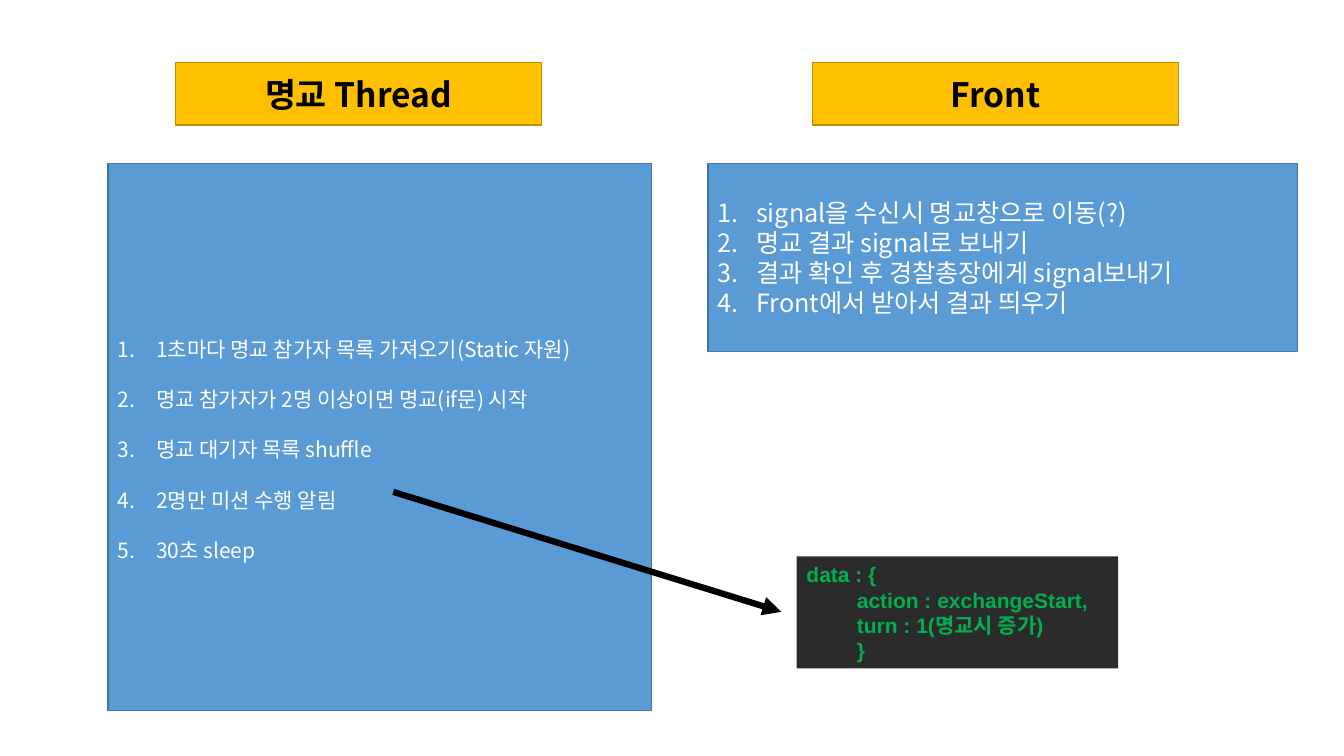
import pptx
import pptx.util
import pptx.dml.color
import pptx.enum.shapes
import pptx.enum.text
import pptx.oxml.ns
import lxml.etree

Inches = pptx.util.Inches
Pt = pptx.util.Pt
ALIGN = pptx.enum.text.PP_ALIGN
FIT = pptx.enum.text.MSO_AUTO_SIZE

HEX = {
    "gold": "FFC000", "gold edge": "BD8E00",
    "blue": "5B9BD5", "blue edge": "43739E",
    "dark": "2B2B2B", "green": "00B050",
    "black": "000000", "white": "FFFFFF",
}
SANS = "Noto Sans CJK KR"
STEPS = [
    "1초마다 명교 참가자 목록 가져오기(Static 자원)",
    "명교 참가자가 2명 이상이면 명교(if문) 시작",
    "명교 대기자 목록 shuffle",
    "2명만 미션 수행 알림",
    "30초 sleep",
]
FRONT = [
    "signal을 수신시 명교창으로 이동(?)",
    "명교 결과 signal로 보내기",
    "결과 확인 후 경찰총장에게 signal보내기",
    "Front에서 받아서 결과 띄우기",
]
CODE = ["data : {", "action : exchangeStart,", "turn : 1(명교시 증가)", "}"]


def color(name):
    """Return the named colour."""
    return pptx.dml.color.RGBColor.from_string(HEX[name])


def add_node(parent, tag, **attrs):
    """Append a drawing element with the given attributes."""
    return lxml.etree.SubElement(parent, pptx.oxml.ns.qn(tag), attrs)


def place(shape, left, top, width, height):
    """Move and size a shape, in inches."""
    shape.left, shape.top = Inches(left), Inches(top)
    shape.width, shape.height = Inches(width), Inches(height)


def paint(shape, fill, edge=None):
    """Fill a shape and draw its edge, if it has one."""
    shape.fill.solid()
    shape.fill.fore_color.rgb = color(fill)
    if edge:
        shape.line.color.rgb = color(edge)
        shape.line.width = Pt(1)
    else:
        shape.line.fill.background()


def write(shape, lines, size, ink, face=SANS, bold=False,
          align=ALIGN.LEFT, space=1.0, fit=FIT.NONE):
    """Write one paragraph per line and return the paragraphs."""
    frame = shape.text_frame
    frame.word_wrap = True
    frame.auto_size = fit
    frame.vertical_anchor = pptx.enum.text.MSO_ANCHOR.MIDDLE
    for line in lines[1:]:
        frame.add_paragraph()
    for para, line in zip(frame.paragraphs, lines):
        para.alignment = align
        para.line_spacing = space
        para.space_before = para.space_after = Pt(0)
        run = para.add_run()
        run.text = line
        font = run.font
        font.size, font.bold, font.name = Pt(size), bold, face
        font.color.rgb = color(ink)
        add_node(font._element, "a:ea", typeface=SANS)
    return frame.paragraphs


def add_head(holder, left, text):
    """Make a gold heading from a placeholder."""
    place(holder, left, 0.62, 3.63, 0.62)
    paint(holder, "gold", "gold edge")
    write(holder, [text], 24, "black", bold=True, align=ALIGN.CENTER)


def add_list(holder, left, width, height, lines, size, space=1.0):
    """Make a blue numbered list from a placeholder."""
    place(holder, left, 1.62, width, height)
    paint(holder, "blue", "blue edge")
    for para in write(holder, lines, size, "white", space=space):
        props = para._p.get_or_add_pPr()
        props.set("marL", str(Inches(0.38)))
        props.set("indent", str(Inches(-0.38)))
        add_node(props, "a:buFont", typeface=SANS)
        add_node(props, "a:buAutoNum", type="arabicPeriod")


def add_code(slide):
    """Add the dark box with the message data."""
    box = slide.shapes.add_shape(
        pptx.enum.shapes.MSO_SHAPE.RECTANGLE,
        Inches(7.9), Inches(5.52), Inches(3.19), Inches(1.11))
    box.shadow.inherit = False
    paint(box, "dark")
    paras = write(box, CODE, 15, "green", "Arial", bold=True,
                  fit=FIT.SHAPE_TO_FIT_TEXT)
    for para in paras[1:]:
        para.level = 1
        para._p.get_or_add_pPr().set("marL", str(Inches(0.5)))


def add_arrow(slide):
    """Add the arrow from the mission step to the message data."""
    arrow = slide.shapes.add_connector(
        pptx.enum.shapes.MSO_CONNECTOR.STRAIGHT,
        Inches(3.9), Inches(4.88), Inches(7.75), Inches(6.07))
    arrow.line.color.rgb = color("black")
    arrow.line.width = Pt(4.5)
    add_node(arrow.line._get_or_add_ln(), "a:tailEnd", type="triangle")
    add_node(arrow._element.spPr, "a:effectLst")


def main():
    """Build the slide and save it."""
    deck = pptx.Presentation()
    deck.slide_width, deck.slide_height = Inches(13.33), Inches(7.5)
    slide = deck.slides.add_slide(deck.slide_layouts.get_by_name("Comparison"))
    title, spare, steps, head, front = slide.placeholders
    spare._element.getparent().remove(spare._element)

    add_head(title, 1.74, "명교 Thread")
    add_head(head, 8.06, "Front")
    add_list(steps, 1.07, 5.39, 5.43, STEPS, 15, space=2.0)
    add_list(front, 7.02, 5.85, 1.87, FRONT, 18)
    add_code(slide)
    add_arrow(slide)
    deck.save("out.pptx")


main()
